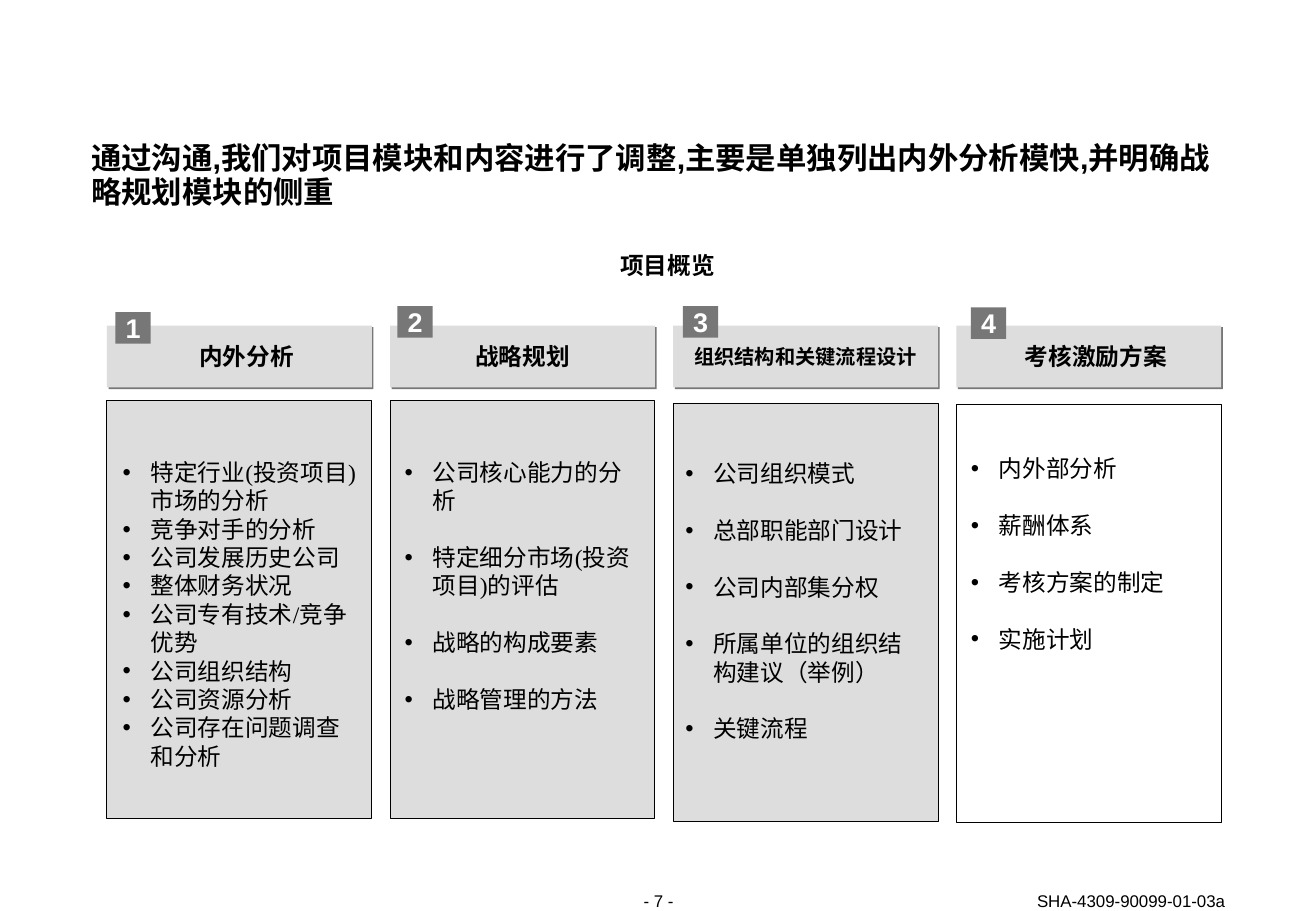
import pptx
import pptx.dml.color
import pptx.enum.shapes
import pptx.enum.text
import pptx.oxml
import pptx.oxml.ns
import pptx.util
from pptx.util import Inches

BLACK = pptx.dml.color.RGBColor(0x00, 0x00, 0x00)
WHITE = pptx.dml.color.RGBColor(0xFF, 0xFF, 0xFF)
LIGHT_GREY = pptx.dml.color.RGBColor(0xDD, 0xDD, 0xDD)
DARK_GREY = pptx.dml.color.RGBColor(0x77, 0x77, 0x77)
ALIGN = pptx.enum.text.PP_ALIGN
ANCHOR = pptx.enum.text.MSO_ANCHOR
DRAWING_NS = pptx.oxml.ns.nsdecls("a")
HEADER_SHADOW = (
    f'<a:effectLst {DRAWING_NS}><a:outerShdw blurRad="0" dist="17780" dir="2700000" '
    f'algn="tl" rotWithShape="0"><a:srgbClr val="{DARK_GREY}"/></a:outerShdw></a:effectLst>'
)

# One entry per module; tops and lefts are in inches
MODULES = [
    dict(name="内外分析", size=14, inset=0.12, panel_top=3.3, panel_fill=LIGHT_GREY,
         badge=(0.95, 2.57), list_at=(1.01, 3.77), gap=0,
         items=["特定行业(投资项目)市场的分析", "竞争对手的分析", "公司发展历史公司",
                "整体财务状况", "公司专有技术/竞争优势", "公司组织结构",
                "公司资源分析", "公司存在问题调查和分析"]),
    dict(name="战略规划", size=14, inset=0, panel_top=3.3, panel_fill=LIGHT_GREY,
         badge=(3.27, 2.52), list_at=(3.33, 3.77), gap=16.8,
         items=["公司核心能力的分析", "特定细分市场(投资项目)的评估",
                "战略的构成要素", "战略管理的方法"]),
    dict(name="组织结构和关键流程设计", size=12, inset=0, panel_top=3.32, panel_fill=LIGHT_GREY,
         badge=(5.62, 2.52), list_at=(5.64, 3.78), gap=16.8,
         items=["公司组织模式", "总部职能部门设计", "公司内部集分权",
                "所属单位的组织结构建议（举例）", "关键流程"]),
    dict(name="考核激励方案", size=14, inset=0.12, panel_top=3.33, panel_fill=None,
         badge=(7.99, 2.53), list_at=(7.99, 3.74), gap=16.8,
         items=["内外部分析", "薪酬体系", "考核方案的制定", "实施计划"]),
]


def prepare_frame(box, anchor):
    frame = box.text_frame
    frame.margin_left = frame.margin_top = frame.margin_right = frame.margin_bottom = 0
    frame.auto_size = pptx.enum.text.MSO_AUTO_SIZE.NONE
    frame.word_wrap = True
    frame.vertical_anchor = anchor
    return frame


def write(para, text, size, align, bold=False, color=BLACK, font="Arial"):
    para.alignment = align
    para.space_before = pptx.util.Pt(0)
    span = para.add_run()
    span.text = text
    span.font.name = font
    span.font.size = pptx.util.Pt(size)
    span.font.bold = bold
    span.font.color.rgb = color


deck = pptx.Presentation()
deck.slide_width, deck.slide_height = Inches(10.83), Inches(7.5)
# The comparison layout offers a title and four body placeholders
page = deck.slides.add_slide(deck.slide_layouts[4])

# Title
title = page.shapes.title
title.left, title.top, title.width, title.height = map(Inches, (0.75, 1.17, 9.33, 0.67))
para = prepare_frame(title, ANCHOR.TOP).paragraphs[0]
write(para, "通过沟通,我们对项目模块和内容进行了调整,主要是单独列出内外分析模快,并明确战略规划模块的侧重",
      18, ALIGN.LEFT, bold=True)
para.line_spacing = pptx.util.Pt(20)

# Subtitle
subtitle = page.shapes.add_textbox(*map(Inches, (0.83, 2.08, 9.33, 0.22)))
para = prepare_frame(subtitle, ANCHOR.TOP).paragraphs[0]
write(para, "项目概览", 14, ALIGN.CENTER, bold=True)
para.line_spacing = pptx.util.Pt(16)

# Module columns
for index, module in enumerate(MODULES):
    left = 0.88 + 2.33 * index
    rectangle = pptx.enum.shapes.MSO_SHAPE.RECTANGLE

    # Header with a hard shadow
    header = page.shapes.add_shape(rectangle, *map(Inches, (left, 2.68, 2.18, 0.51)))
    header.fill.solid()
    header.fill.fore_color.rgb = LIGHT_GREY
    header.line.fill.background()
    header.element.spPr.append(pptx.oxml.parse_xml(HEADER_SHADOW))
    frame = prepare_frame(header, ANCHOR.MIDDLE)
    frame.margin_left = Inches(module["inset"])
    write(frame.paragraphs[0], module["name"], module["size"], ALIGN.CENTER, bold=True)

    # Panel
    panel = page.shapes.add_shape(rectangle, *map(Inches, (left, module["panel_top"], 2.18, 3.44)))
    panel.shadow.inherit = False
    if module["panel_fill"] is None:
        panel.fill.background()
    else:
        panel.fill.solid()
        panel.fill.fore_color.rgb = module["panel_fill"]
    panel.line.color.rgb = BLACK
    panel.line.width = pptx.util.Pt(0.5)

    # Number badge
    badge = page.shapes.add_shape(rectangle, *map(Inches, (*module["badge"], 0.29, 0.26)))
    badge.shadow.inherit = False
    badge.fill.solid()
    badge.fill.fore_color.rgb = DARK_GREY
    badge.line.fill.background()
    frame = prepare_frame(badge, ANCHOR.MIDDLE)
    frame.word_wrap = False
    write(frame.paragraphs[0], str(index + 1), 16, ALIGN.CENTER, bold=True, color=WHITE)

    # Bulleted list, brought in front of its panel
    body = page.placeholders[index + 1]
    body.element.getparent().append(body.element)
    body.left, body.top, body.width, body.height = map(Inches, (*module["list_at"], 1.93, 2.57))
    frame = prepare_frame(body, ANCHOR.TOP)
    for position, item in enumerate(module["items"]):
        para = frame.add_paragraph() if position else frame.paragraphs[0]
        properties = para._p.get_or_add_pPr()
        properties.set("marL", str(Inches(0.23)))
        properties.set("indent", str(-Inches(0.23)))
        properties.append(pptx.oxml.parse_xml(f'<a:buChar {DRAWING_NS} char="•"/>'))
        write(para, item, 14, ALIGN.LEFT, font="Times New Roman")
        if position:
            para.space_before = pptx.util.Pt(module["gap"])

# Footer: page number and document code
for place, text, align in [
    ((4.85, 7.33, 1.14, 0.17), "- 7 -", ALIGN.CENTER),
    ((7.64, 7.33, 2.44, 0.17), "SHA-4309-90099-01-03a", ALIGN.RIGHT),
]:
    box = page.shapes.add_textbox(*map(Inches, place))
    write(prepare_frame(box, ANCHOR.BOTTOM).paragraphs[0], text, 10, align)

deck.save("out.pptx")
